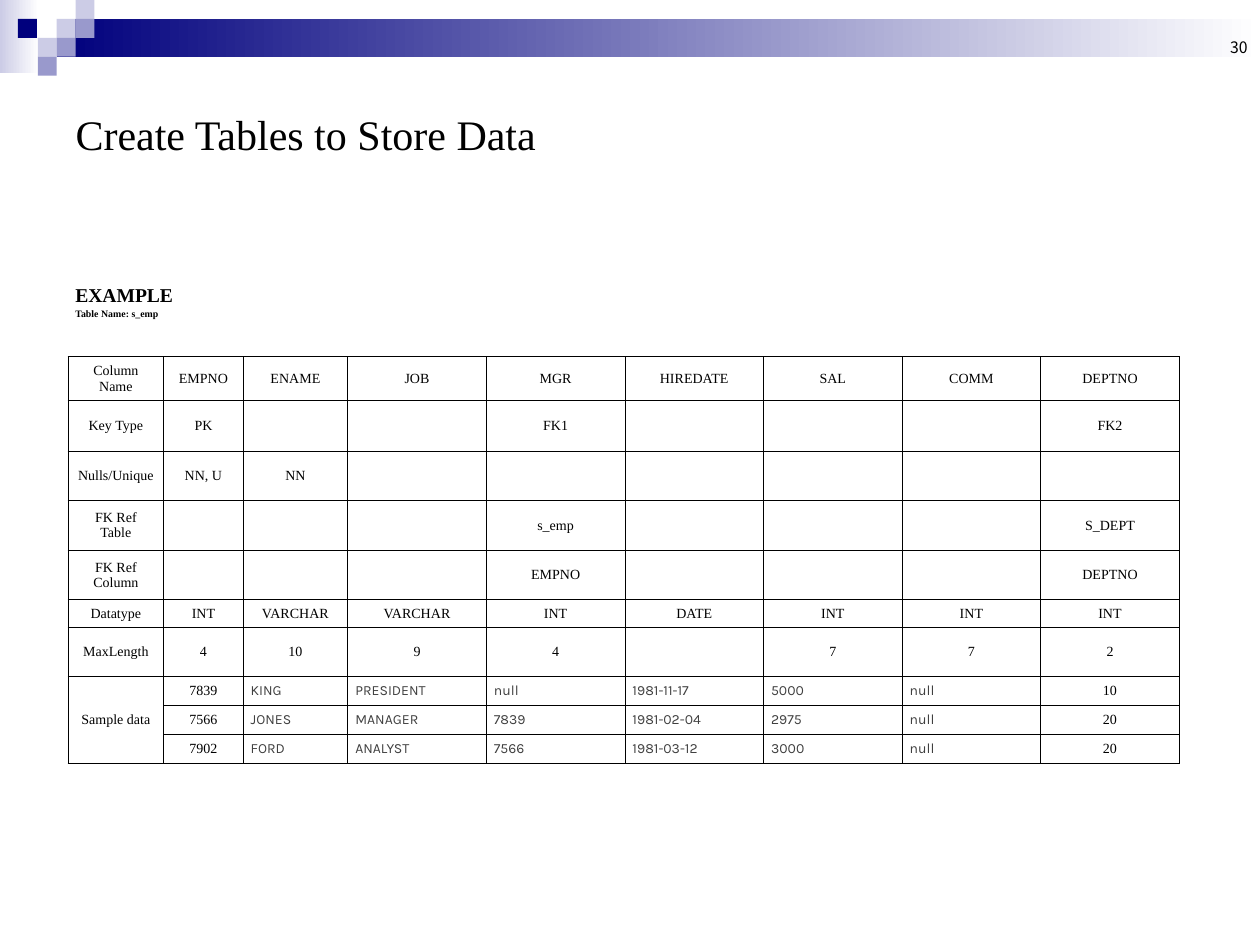
from dataclasses import dataclass
from lxml import etree
from pptx import Presentation
from pptx.dml.color import RGBColor
from pptx.enum.shapes import MSO_SHAPE
from pptx.enum.text import MSO_ANCHOR, MSO_AUTO_SIZE, PP_ALIGN
from pptx.oxml.ns import qn
from pptx.util import Inches, Pt

RECT = MSO_SHAPE.RECTANGLE
MIDDLE, BOTTOM = MSO_ANCHOR.MIDDLE, MSO_ANCHOR.BOTTOM
LEFT, CENTER, RIGHT = PP_ALIGN.LEFT, PP_ALIGN.CENTER, PP_ALIGN.RIGHT
FIXED = MSO_AUTO_SIZE.NONE


@dataclass(frozen=True)
class Theme:
    navy: str = "00007D"
    mid: str = "9999CC"
    pale: str = "CCCCE6"
    white: str = "FFFFFF"
    black: str = "000000"
    gray: str = "404040"
    serif: str = "Times New Roman"
    sans: str = "Noto Sans CJK KR"
    data: str = "Karla"
    title: float = 24
    head: float = 11.2
    sub: float = 5.6
    cell: float = 8
    page: float = 9
    rule: float = 0.45


THEME = Theme()

COLS = [0.76, 0.63, 0.83] + [1.1] * 6
ROWS = [0.35, 0.4, 0.39, 0.4, 0.39, 0.22, 0.39] + [0.23] * 3
CELLS = [
    ["Column Name", "EMPNO", "ENAME", "JOB", "MGR", "HIREDATE", "SAL", "COMM", "DEPTNO"],
    ["Key Type", "PK", "", "", "FK1", "", "", "", "FK2"],
    ["Nulls/Unique", "NN, U", "NN", "", "", "", "", "", ""],
    ["FK Ref\nTable", "", "", "", "s_emp", "", "", "", "S_DEPT"],
    ["FK Ref\nColumn", "", "", "", "EMPNO", "", "", "", "DEPTNO"],
    ["Datatype", "INT", "VARCHAR", "VARCHAR", "INT", "DATE", "INT", "INT", "INT"],
    ["MaxLength", "4", "10", "9", "4", "", "7", "7", "2"],
    ["Sample data", "7839", "KING", "PRESIDENT", "null", "1981-11-17", "5000", "null", "10"],
    ["", "7566", "JONES", "MANAGER", "7839", "1981-02-04", "2975", "null", "20"],
    ["", "7902", "FORD", "ANALYST", "7566", "1981-03-12", "3000", "null", "20"],
]
SAMPLE = 7


def style(para, face, size, color=THEME.black, bold=False, align=LEFT):
    para.alignment = align
    font = para.font
    font.name, font.size, font.bold = face, Pt(size), bold
    font.color.rgb = RGBColor.from_string(color)


def add_block(group, box, color, fade=None):
    shape = group.shapes.add_shape(RECT, *map(Inches, box))
    shape.shadow.inherit = False
    shape.line.fill.background()
    if fade:
        shape.fill.gradient()
        shape.fill.gradient_angle = 0
        for stop, tint in zip(shape.fill.gradient_stops, (color, fade)):
            stop.color.rgb = RGBColor.from_string(tint)
    else:
        shape.fill.solid()
        shape.fill.fore_color.rgb = RGBColor.from_string(color)


def add_banner(slide, left, top, width):
    group = slide.shapes.add_group_shape()
    unit = 0.15
    add_block(group, (left, top, 0.31, 0.58), THEME.pale, THEME.white)
    add_block(group, (left + 0.45, top + unit, width - 0.45, 2 * unit),
              THEME.navy, THEME.white)
    tiles = [(3, 1, THEME.pale), (4, 0, THEME.pale), (4, 1, THEME.mid),
             (2, 2, THEME.pale), (0.95, 1, THEME.navy),
             (3, 2, THEME.mid), (2, 3, THEME.mid)]
    for col, row, color in tiles:
        add_block(group, (left + col * unit, top + row * unit, unit, unit), color)


def add_text(slide, box, lines):
    frame = slide.shapes.add_textbox(*map(Inches, box)).text_frame
    frame.word_wrap = True
    frame.text = "\n".join(lines)
    return frame


def add_page(slide, *box):
    frame = add_text(slide, box, ["30"])
    frame.vertical_anchor = BOTTOM
    style(frame.paragraphs[0], THEME.sans, THEME.page, align=RIGHT)


def add_label(slide, *box):
    frame = add_text(slide, box, ["EXAMPLE", "Table Name: s_emp"])
    head, sub = frame.paragraphs
    sub.space_before = Pt(2.2)
    for para, size in ((head, THEME.head), (sub, THEME.sub)):
        para.line_spacing = 0.8
        style(para, THEME.serif, size, bold=True)


def set_title(slide, *box):
    shape = slide.shapes.title
    shape.left, shape.top, shape.width, shape.height = map(Inches, box)
    frame = shape.text_frame
    frame.text = "Create Tables to Store Data"
    frame.auto_size = FIXED
    frame.vertical_anchor = MIDDLE
    style(frame.paragraphs[0], THEME.serif, THEME.title)


def add_edges(cell):
    props = cell._tc.get_or_add_tcPr()
    for side in ("a:lnL", "a:lnR", "a:lnT", "a:lnB"):
        line = etree.SubElement(props, qn(side), w=str(Pt(THEME.rule)))
        fill = etree.SubElement(line, qn("a:solidFill"))
        etree.SubElement(fill, qn("a:srgbClr"), val=THEME.black)


def fill_cell(cell, text, sample):
    add_edges(cell)
    cell.fill.background()
    cell.vertical_anchor = MIDDLE
    cell.margin_left = cell.margin_right = Inches(0.06 if sample else 0.07)
    cell.margin_top = cell.margin_bottom = Inches(0.04)
    cell.text = text
    for para in cell.text_frame.paragraphs:
        if sample:
            style(para, THEME.data, THEME.cell, THEME.gray)
        else:
            style(para, THEME.serif, THEME.cell, align=CENTER)


def add_grid(slide, left, top):
    box = map(Inches, (left, top, sum(COLS), sum(ROWS)))
    table = slide.shapes.add_table(len(ROWS), len(COLS), *box).table
    table.first_row = table.horz_banding = False
    for col, width in zip(table.columns, COLS):
        col.width = Inches(width)
    for row, height in zip(table.rows, ROWS):
        row.height = Inches(height)
    for r, texts in enumerate(CELLS):
        for c, text in enumerate(texts):
            sample = r >= SAMPLE and 2 <= c < len(COLS) - 1
            fill_cell(table.cell(r, c), text, sample)
    table.cell(SAMPLE, 0).merge(table.cell(len(ROWS) - 1, 0))


def main():
    deck = Presentation()
    deck.slide_width, deck.slide_height = Inches(10), Inches(7.5)
    slide = deck.slides.add_slide(deck.slide_layouts[5])
    add_banner(slide, 0, 0, 10)
    add_page(slide, 7.67, 0, 2.33, 0.5)
    add_label(slide, 0.5, 2.23, 6.69, 0.41)
    set_title(slide, 0.5, 0.5, 9, 1.12)
    add_grid(slide, 0.54, 2.83)
    deck.save("out.pptx")


if __name__ == "__main__":
    main()
